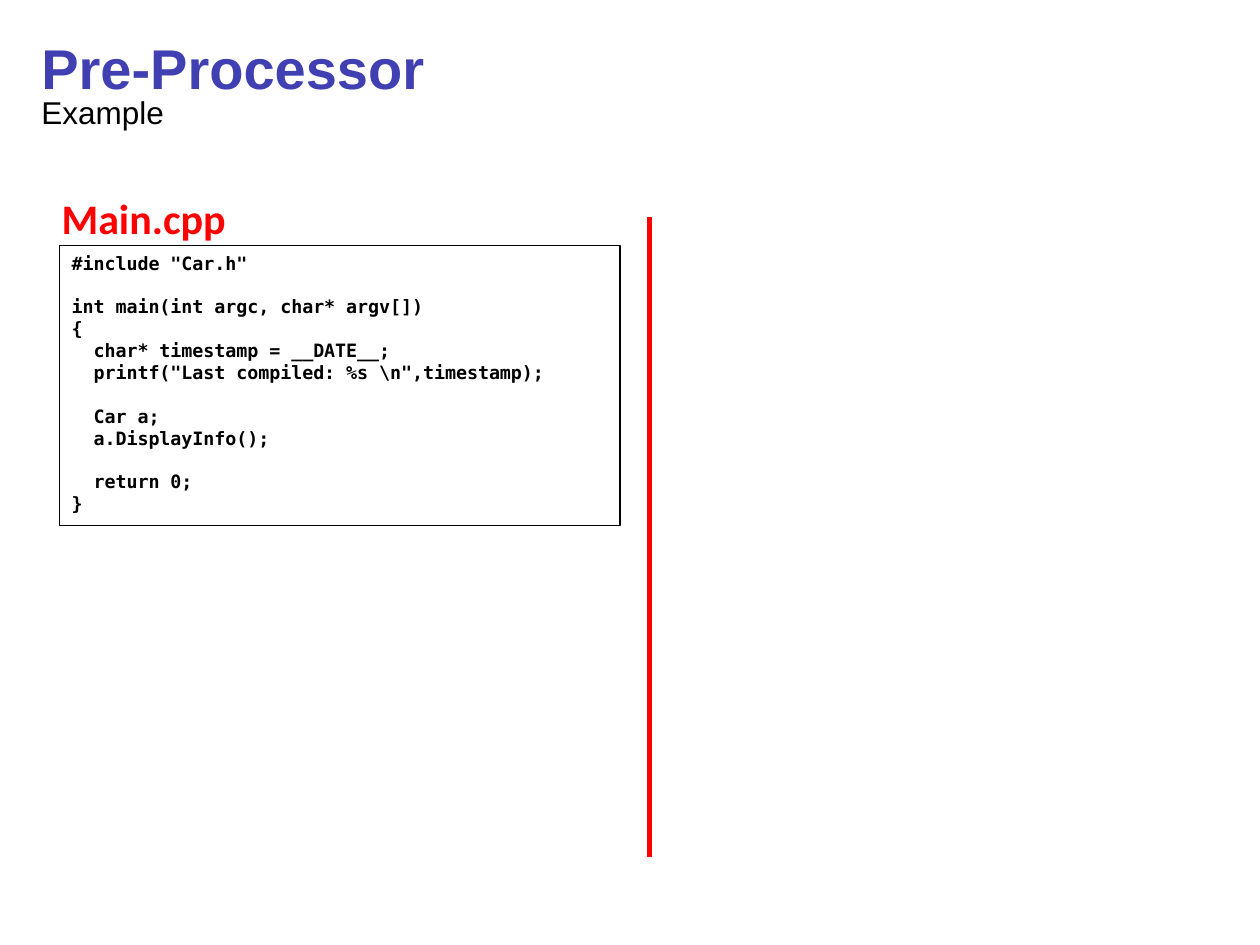
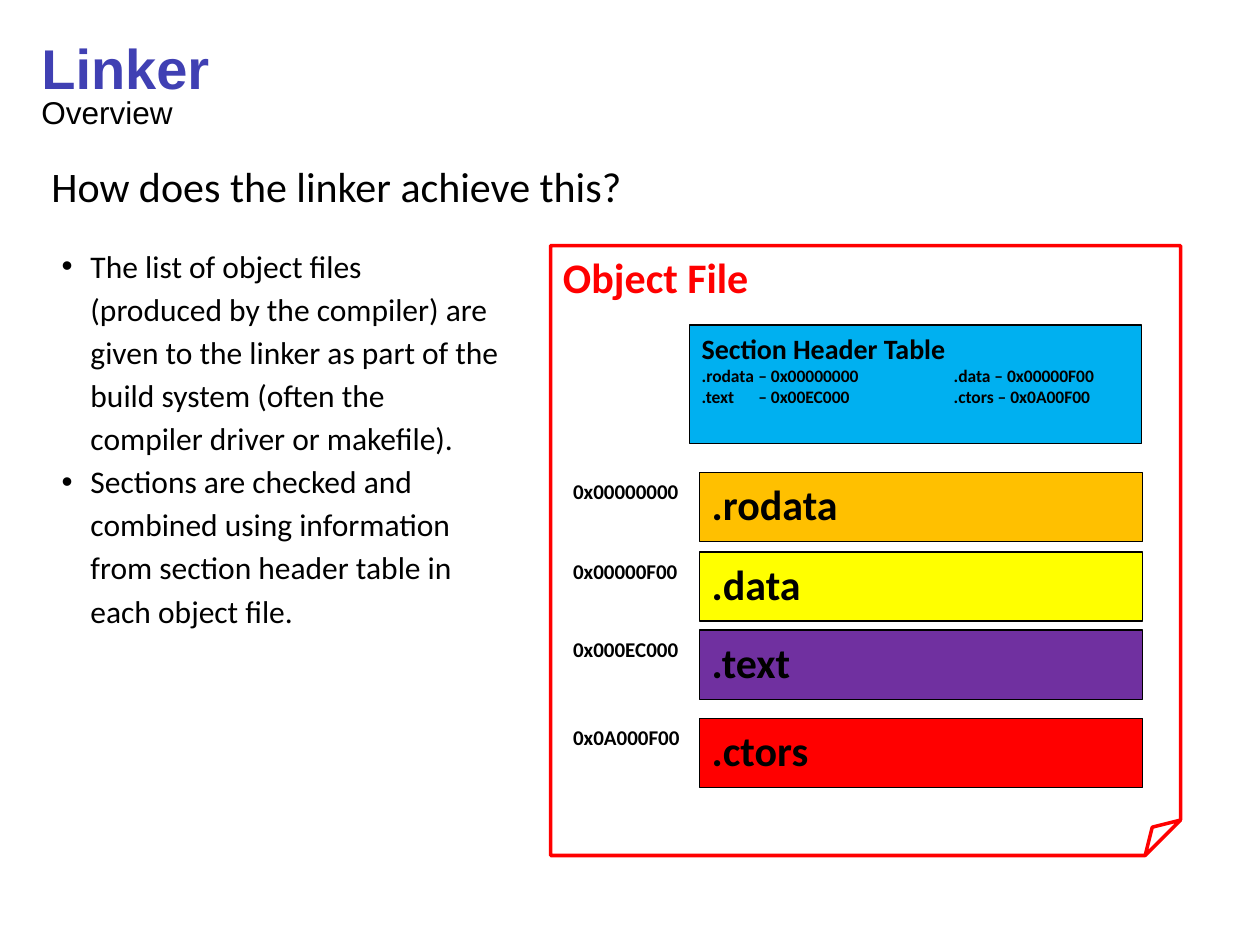
from pptx import Presentation
from pptx.dml.color import RGBColor as Rgb
from pptx.enum.shapes import MSO_CONNECTOR as Line, MSO_SHAPE as Shape
from pptx.enum.text import MSO_ANCHOR as Anchor, PP_ALIGN as Align
from pptx.oxml.ns import qn
from pptx.util import Pt
from lxml.etree import SubElement as Sub

PX = 9144  # 100 px to the inch
WIDE, HIGH = 1000, 750

BLACK = Rgb(0x00, 0x00, 0x00)
WHITE = Rgb(0xFF, 0xFF, 0xFF)
RED = Rgb(0xFF, 0x00, 0x00)
INDIGO = Rgb(0x40, 0x40, 0xB3)
BLUE = Rgb(0x00, 0xB0, 0xF0)
AMBER = Rgb(0xFF, 0xC0, 0x00)
YELLOW = Rgb(0xFF, 0xFF, 0x00)
PURPLE = Rgb(0x70, 0x30, 0xA0)

HEAD, BODY, MONO = "Arial", "Calibri", "DejaVu Sans Mono"

CODE = r'''#include "Car.h"

int main(int argc, char* argv[])
{
  char* timestamp = __DATE__;
  printf("Last compiled: %s \n",timestamp);

  Car a;
  a.DisplayInfo();

  return 0;
}'''

POINTS = [
    "The list of object files (produced by the compiler) are given to the "
    "linker as part of the build system (often the compiler driver or "
    "makefile).",
    "Sections are checked and combined using information from section "
    "header table in each object file.",
]

# Name, address, fill, top inside the object file
PARTS = [
    (".rodata", "0x00000000", AMBER, 180),
    (".data", "0x00000F00", YELLOW, 243),
    (".text", "0x000EC000", PURPLE, 305),
    (".ctors", "0x0A000F00", RED, 375),
]
TABLE = [
    ".rodata\t– 0x00000000\t.data – 0x00000F00",
    ".text\t– 0x00EC000\t.ctors – 0x0A00F00",
]


def emu(*nums):
    return [round(n * PX) for n in nums]


def write(frame, text, size=24, font=BODY, color=BLACK, bold=False,
          space=None, gap=0, bullet=0, tabs=()):
    """Add one paragraph to a text frame."""
    para = frame.paragraphs[0]
    if para.runs:
        para = frame.add_paragraph()
    para.alignment = Align.LEFT
    props = para._p.get_or_add_pPr()
    if bullet:
        props.set("marL", str(bullet * PX))
        props.set("indent", str(-bullet * PX))
        Sub(props, qn("a:buFont"), typeface=HEAD)
        Sub(props, qn("a:buChar"), char="•")
    if tabs:
        stops = Sub(props, qn("a:tabLst"))
        for tab in tabs:
            Sub(stops, qn("a:tab"), pos=str(tab * PX), algn="l")
    if space:
        para.line_spacing = space
    if gap:
        para.space_before = Pt(gap)
    run = para.add_run()
    run.text = text
    run.font.size, run.font.name = Pt(size), font
    run.font.bold, run.font.color.rgb = bold, color


def label(slide, box, wrap=True):
    frame = slide.shapes.add_textbox(*emu(*box)).text_frame
    frame.word_wrap = wrap
    return frame


def panel(slide, box, fill=None, edge=BLACK, width=0.75, kind=Shape.RECTANGLE):
    shape = slide.shapes.add_shape(kind, *emu(*box))
    shape.shadow.inherit = False
    if fill is None:
        shape.fill.background()
    else:
        shape.fill.solid()
        shape.fill.fore_color.rgb = fill
    shape.line.color.rgb, shape.line.width = edge, Pt(width)
    shape.text_frame.word_wrap = True
    shape.text_frame.vertical_anchor = Anchor.TOP
    return shape


def start(deck, title, topic):
    """Blank slide with the shared title and subtitle."""
    slide = deck.slides.add_slide(deck.slide_layouts[6])
    write(label(slide, (23, 22, 758, 64)), title, size=32, font=HEAD,
          color=INDIGO, bold=True)
    write(label(slide, (23, 69, 555, 40)), topic, size=18, font=HEAD)
    return slide


def listing(slide, box, name, code):
    """File name above a framed code listing."""
    x, y, w, h = box
    write(label(slide, (x, y, 242, 50)), name, color=RED, bold=True)
    frame = panel(slide, (x + 8, y + 47, w - 8, h - 47), WHITE).text_frame
    gap = 0
    for row in code.splitlines():
        if row:
            write(frame, row, size=10.5, font=MONO, bold=True, gap=gap)
        gap = 0 if row else 12.2  # an empty row becomes one line of space


def divide(slide, x, top, foot):
    line = slide.shapes.add_connector(Line.STRAIGHT, *emu(x, top, x, foot))
    line.line.color.rgb, line.line.width = RED, Pt(3)
    Sub(line._element.spPr, qn("a:effectLst"))


def store(slide, box):
    """Object file: header table, then sections with their addresses."""
    x, y, w, h = box
    frame = panel(slide, (x + 110, y + 63, 359, 94), BLUE).text_frame
    write(frame, "Section Header Table", size=16, bold=True)
    for row in TABLE:
        write(frame, row, size=10, bold=True, tabs=(45, 200))

    for name, place, fill, top in PARTS:
        bar = panel(slide, (x + 118, y + top, 352, 55), fill)
        write(bar.text_frame, name, bold=True)
        write(label(slide, (x + 8, y + top, 106, 30), wrap=False), place,
              size=12, bold=True)

    page = panel(slide, box, edge=RED, width=2, kind=Shape.FOLDED_CORNER)
    # Small fold
    guides = page._element.spPr.find(qn("a:prstGeom")).get_or_add_avLst()
    Sub(guides, qn("a:gd"), name="adj", fmla="val 5800")
    write(page.text_frame, "Object File", color=RED, bold=True)


def notes(slide, box, ask, points):
    """Question with a bullet list below it."""
    x, y, w, h = box
    write(label(slide, (x, y, 750, 102)), ask, space=1.14)
    frame = label(slide, (x + 8, y + 70, w - 8, h - 70))
    for point in points:
        write(frame, point, size=18, space=1.14, bullet=23)


def main():
    deck = Presentation()
    deck.slide_width, deck.slide_height = emu(WIDE, HIGH)

    slide = start(deck, "Pre-Processor", "Example")
    divide(slide, 515.5, 172, 680)
    listing(slide, (39, 148, 453, 269), "Main.cpp", CODE)

    slide = start(deck, "Linker", "Overview")
    store(slide, (437, 195, 500, 484))
    notes(slide, (31, 117, 375, 391), "How does the linker achieve this?",
          POINTS)

    deck.save("out.pptx")


if __name__ == "__main__":
    main()
